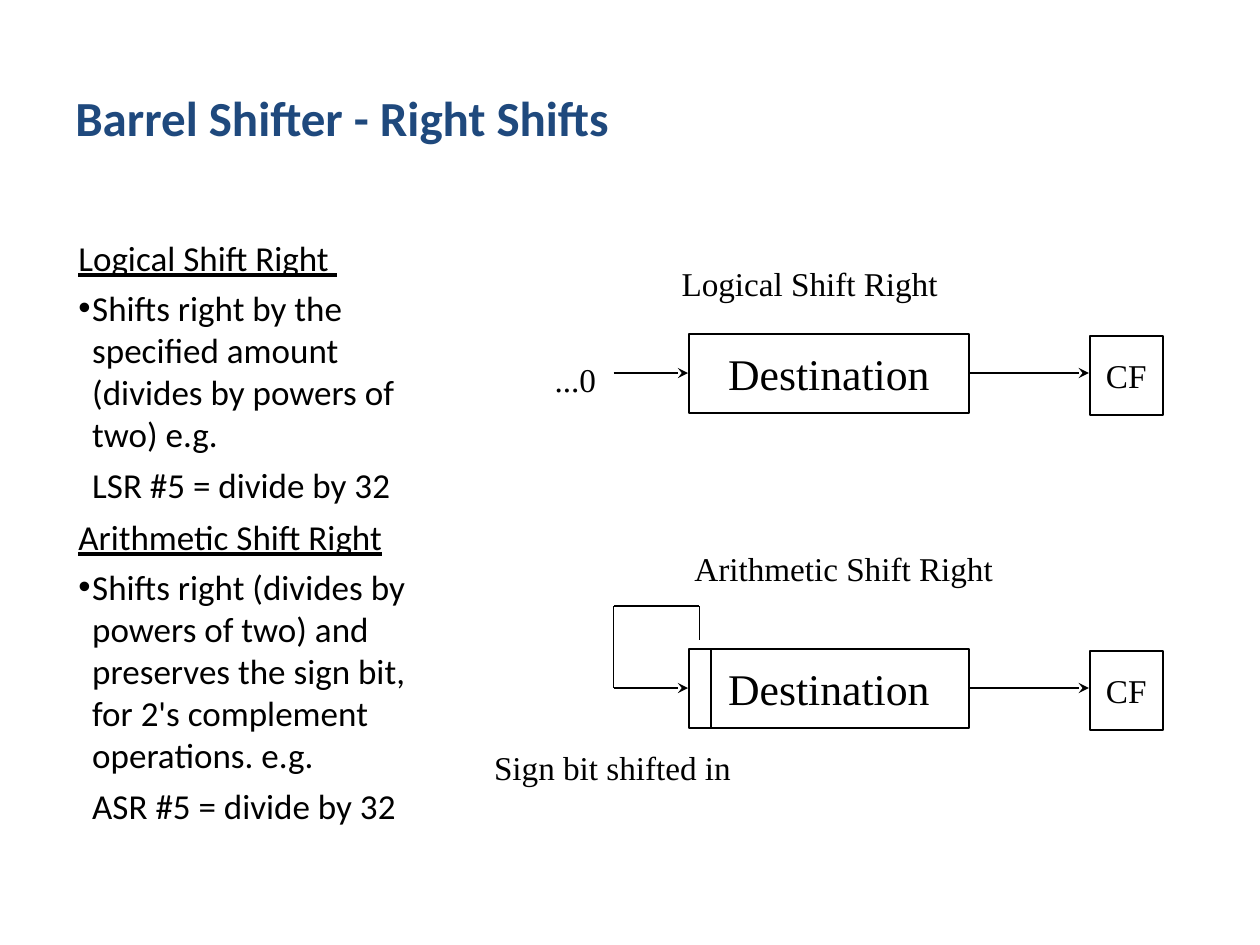
from dataclasses import dataclass

from lxml.etree import SubElement
from pptx import Presentation
from pptx.dml.color import RGBColor
from pptx.enum.shapes import MSO_CONNECTOR as Connector, MSO_SHAPE as Shape
from pptx.enum.text import MSO_ANCHOR as Anchor, PP_ALIGN as Align
from pptx.oxml.ns import qn
from pptx.util import Cm, Pt

BLACK = RGBColor(0x00, 0x00, 0x00)
NAVY = RGBColor(0x1F, 0x49, 0x7D)
SANS, SERIF = "Calibri", "Times New Roman"
ROW_TOPS = (6.73, 13.08)
HANG = Cm(0.28)
BODY_FONT = {"name": SANS, "size": Pt(20)}
LABEL_FONT = {"name": SERIF, "size": Pt(19)}


@dataclass
class Area:
    left: float
    top: float
    width: float
    height: float

    def lengths(self) -> list:
        return [Cm(value) for value in (self.left, self.top, self.width, self.height)]


@dataclass
class Line:
    start: tuple
    end: tuple
    arrow: bool = False


@dataclass
class Label:
    text: str
    area: Area


@dataclass
class BodyText:
    text: str
    bullet: bool = False
    underline: bool = False


def set_values(target, values: dict) -> None:
    for name, value in values.items():
        setattr(target, name, value)


def set_frame(frame, side: float, edge: float, **values) -> None:
    set_values(frame, {"margin_left": Cm(side), "margin_right": Cm(side),
                       "margin_top": Cm(edge), "margin_bottom": Cm(edge),
                       "word_wrap": True, **values})


def write(paragraph, text: str, font: dict, color: RGBColor = BLACK) -> None:
    run = paragraph.add_run()
    run.text = text
    set_values(run.font, font)
    run.font.color.rgb = color


def add_box(slide, area: Area, text: str, size: int) -> None:
    shape = slide.shapes.add_shape(Shape.RECTANGLE, *area.lengths())
    shape.shadow.inherit = False
    shape.fill.background()
    shape.line.color.rgb = BLACK
    shape.line.width = Pt(1)
    set_frame(shape.text_frame, 0.25, 0.13, word_wrap=False,
              vertical_anchor=Anchor.MIDDLE)
    paragraph = shape.text_frame.paragraphs[0]
    paragraph.alignment = Align.CENTER
    write(paragraph, text, {"name": SERIF, "size": Pt(size)})


def add_line(slide, line: Line) -> None:
    points = [Cm(value) for value in (*line.start, *line.end)]
    connector = slide.shapes.add_connector(Connector.STRAIGHT, *points)
    connector.line.color.rgb = BLACK
    connector.line.width = Pt(1)
    if line.arrow:
        SubElement(connector.line._get_or_add_ln(), qn("a:tailEnd"), type="stealth")
    SubElement(connector._element.spPr, qn("a:effectLst"))


def add_label(slide, label: Label) -> None:
    frame = slide.shapes.add_textbox(*label.area.lengths()).text_frame
    set_frame(frame, 0.18, 0.08)
    frame.paragraphs[0].line_spacing = 1.02
    write(frame.paragraphs[0], label.text, LABEL_FONT)


def add_body(slide, area: Area, items: list) -> None:
    frame = slide.shapes.add_textbox(*area.lengths()).text_frame
    set_frame(frame, 0.18, 0.08)
    for index, item in enumerate(items):
        paragraph = frame.add_paragraph() if index else frame.paragraphs[0]
        if index:
            paragraph.space_before = Pt(4 if item.bullet else 8.6)
        paragraph.line_spacing = 1.0 if item.bullet else 0.88
        properties = paragraph._p.get_or_add_pPr()
        properties.set("marL", str(0 if item.underline else HANG))
        properties.set("indent", str(-HANG if item.bullet else 0))
        if item.bullet:
            SubElement(properties, qn("a:buFont"), typeface="Arial")
            SubElement(properties, qn("a:buChar"), char="•")
        write(paragraph, item.text, {**BODY_FONT, "underline": item.underline})


presentation = Presentation()
presentation.slide_width, presentation.slide_height = Cm(25.4), Cm(19.05)
slide = presentation.slides.add_slide(presentation.slide_layouts[6])

# Title
title = slide.shapes.add_textbox(*Area(1.27, 0.76, 22.86, 3.18).lengths()).text_frame
set_frame(title, 0.25, 0.13, vertical_anchor=Anchor.MIDDLE)
write(title.paragraphs[0], "Barrel Shifter - Right Shifts",
      {"name": SANS, "size": Pt(28), "bold": True}, NAVY)

# Explanation
add_body(slide, Area(1.4, 4.8, 7.29, 12.29), [
    BodyText("Logical Shift Right ", underline=True),
    BodyText("Shifts right by the specified amount (divides by powers of two) e.g.",
             bullet=True),
    BodyText("LSR #5 = divide by 32"),
    BodyText("Arithmetic Shift Right", underline=True),
    BodyText("Shifts right (divides by powers of two) and preserves the sign bit, "
             "for 2's complement operations. e.g.", bullet=True),
    BodyText("ASR #5 = divide by 32"),
])

# Register, carry flag and arrows of both shifts
for top in ROW_TOPS:
    add_box(slide, Area(13.89, top, 5.64, 1.6), "Destination", 25)
    add_box(slide, Area(21.97, top + 0.04, 1.47, 1.6), "CF", 19)
    middle = top + 0.79
    add_line(slide, Line((12.37, middle), (13.87, middle), arrow=True))
    add_line(slide, Line((19.56, middle), (21.95, middle), arrow=True))

# Sign bit and its feedback loop
for line in (
    Line((14.33, 13.08), (14.33, 14.68)),
    Line((14.1, 12.9), (14.1, 12.22)),
    Line((14.1, 12.22), (12.37, 12.22)),
    Line((12.37, 12.22), (12.37, 13.87)),
):
    add_line(slide, line)

# Labels
for label in (
    Label("Logical Shift Right", Area(13.56, 5.21, 8.48, 1)),
    Label("Arithmetic Shift Right", Area(13.82, 10.95, 7.47, 1)),
    Label("...0", Area(11, 7.14, 1.35, 1)),
    Label("Sign bit shifted in", Area(9.78, 14.96, 8.97, 1)),
):
    add_label(slide, label)

presentation.save("out.pptx")
